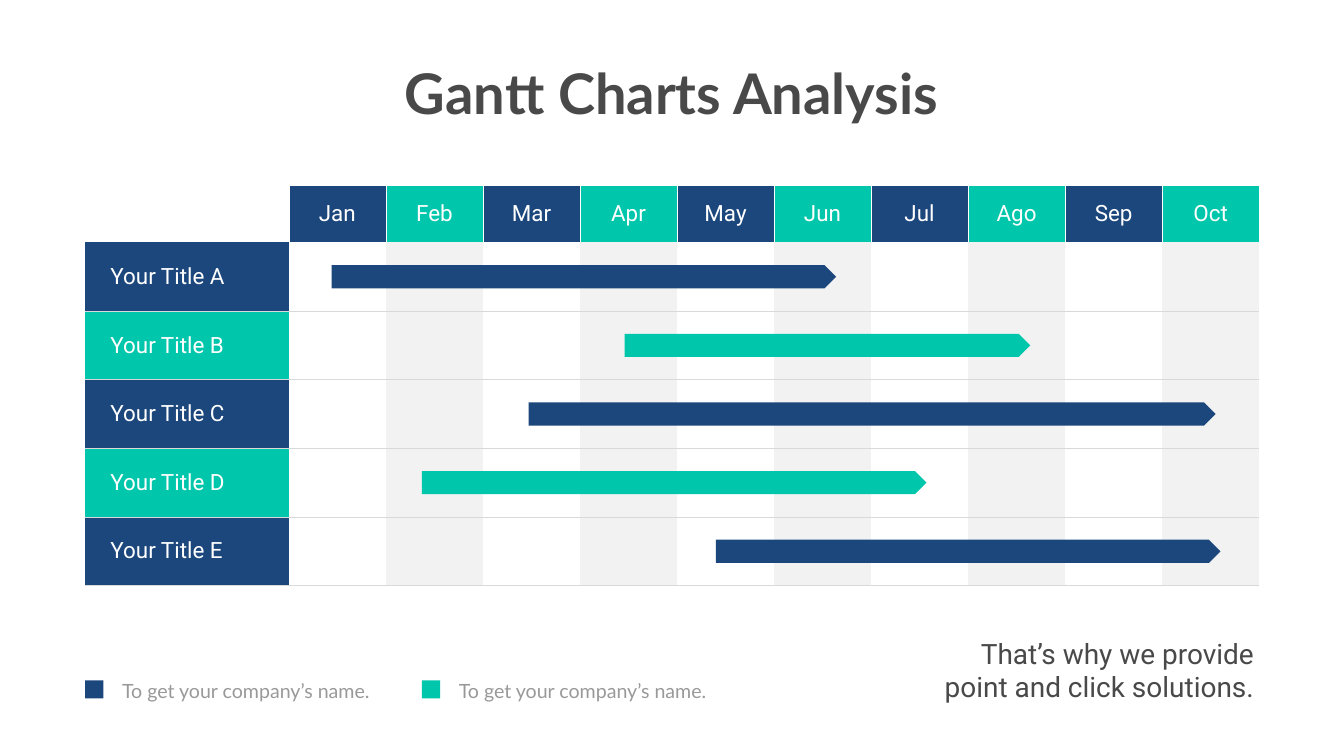
from collections import namedtuple

from lxml.etree import SubElement
from pptx import Presentation
from pptx.dml.color import RGBColor
from pptx.enum.shapes import MSO_SHAPE as Shape
from pptx.enum.text import MSO_ANCHOR as Anchor, MSO_AUTO_SIZE as AutoSize, PP_ALIGN as Align
from pptx.oxml.ns import qn
from pptx.util import Inches, Pt

NAVY = RGBColor(0x1C, 0x47, 0x7C)
TEAL = RGBColor(0x00, 0xC6, 0xAB)
WHITE = RGBColor(0xFF, 0xFF, 0xFF)
BAND = RGBColor(0xF2, 0xF2, 0xF2)
RULE = RGBColor(0xD9, 0xD9, 0xD9)
DARK = RGBColor(0x49, 0x49, 0x49)
GREY = RGBColor(0x99, 0x99, 0x99)
ACCENTS = (NAVY, TEAL)
PLAIN_TABLE_STYLE = "{2D5ABB26-0587-4C30-8999-92F81FD0307C}"

MONTHS = ["Jan", "Feb", "Mar", "Apr", "May", "Jun", "Jul", "Ago", "Sep", "Oct"]
# Title, start and duration in months
TASKS = [
    ("Your Title A", 0.44, 5.2),
    ("Your Title B", 3.46, 4.18),
    ("Your Title C", 2.47, 7.08),
    ("Your Title D", 1.37, 5.2),
    ("Your Title E", 4.4, 5.2),
]
LEGEND = ["To get your company’s name."] * 2

Box = namedtuple("Box", "left top width height")


def inches_box(*lengths):
    return Box(*(Inches(length) for length in lengths))


def write_text(frame, text, size, font, color, align=Align.LEFT, bold=False):
    paragraph = frame.paragraphs[0]
    paragraph.alignment = align
    run = paragraph.add_run()
    run.text = text
    run.font.size = Pt(size)
    run.font.name = font
    run.font.bold = bold
    run.font.color.rgb = color
    return paragraph


def add_block(shapes, kind, box, color):
    shape = shapes.add_shape(kind, *box)
    shape.shadow.inherit = False
    shape.fill.solid()
    shape.fill.fore_color.rgb = color
    shape.line.fill.background()


def add_text_box(shapes, box):
    frame = shapes.add_textbox(*box).text_frame
    frame.word_wrap = True
    return frame


def set_borders(cell, **borders):
    """Draw the given sides (L, R, T, B), each a (color, points) pair."""
    properties = cell._tc.get_or_add_tcPr()
    sides = [side for side in "LRTB" if side in borders]
    for index, side in enumerate(sides):
        color, points = borders[side]
        line = SubElement(properties, qn(f"a:ln{side}"), w=str(Pt(points)))
        fill = SubElement(line, qn("a:solidFill"))
        SubElement(fill, qn("a:srgbClr"), val=str(color))
        properties.insert(index, line)  # borders come before the fill


def fill_cell(cell, color):
    cell.fill.solid()
    cell.fill.fore_color.rgb = color
    cell.vertical_anchor = Anchor.MIDDLE


def add_title(slide, box):
    title = slide.shapes.title
    title.left, title.top, title.width, title.height = box
    frame = title.text_frame
    frame.word_wrap = False
    frame.auto_size = AutoSize.NONE
    frame.vertical_anchor = Anchor.TOP
    write_text(frame, "Gantt Charts Analysis", 80, "Lato", DARK, Align.CENTER, True)


def add_gantt(slide, box):
    label_width, header_height = Inches(4.04), Inches(1.13)
    month_width = (box.width - label_width) // len(MONTHS)
    row_height = (box.height - header_height) // len(TASKS)

    # Grid
    table_frame = slide.shapes.add_table(len(TASKS) + 1, len(MONTHS) + 1, *box)
    table = table_frame.table
    table.first_row = table.horz_banding = False
    table._tbl.tblPr.find(qn("a:tableStyleId")).text = PLAIN_TABLE_STYLE
    for index, column in enumerate(table.columns):
        column.width = month_width if index else label_width
    for index, row in enumerate(table.rows):
        row.height = row_height if index else header_height

    # Month headers
    fill_cell(table.cell(0, 0), WHITE)
    set_borders(table.cell(0, 0), L=(WHITE, 1), T=(WHITE, 1), R=(WHITE, 0.5))
    for index, month in enumerate(MONTHS):
        cell = table.cell(0, index + 1)
        fill_cell(cell, ACCENTS[index % 2])
        set_borders(cell, L=(WHITE, 0.5), T=(WHITE, 1), R=(WHITE, 0.5))
        write_text(cell.text_frame, month, 32, "Roboto", WHITE, Align.CENTER)

    # Task rows
    for row, (name, _, _) in enumerate(TASKS, 1):
        for column in range(len(MONTHS) + 1):
            cell = table.cell(row, column)
            if column:
                fill_cell(cell, (BAND, WHITE)[column % 2])
            else:
                fill_cell(cell, ACCENTS[(row - 1) % 2])
                cell.margin_left = Inches(0.5)
                write_text(cell.text_frame, name, 32, "Roboto", WHITE)
            borders = {"B": (RULE, 1)}
            if row > 1:
                borders["T"] = (RULE, 1)
            set_borders(cell, **borders)

    # Task bars, centred in their rows
    bar_height = Inches(0.46)
    bars = slide.shapes.add_group_shape().shapes
    for index, (_, start, duration) in enumerate(TASKS):
        bar = Box(
            box.left + label_width + int(start * month_width),
            box.top + header_height + index * row_height + (row_height - bar_height) // 2,
            int(duration * month_width),
            bar_height,
        )
        add_block(bars, Shape.PENTAGON, bar, ACCENTS[index % 2])


def add_legend(slide, box):
    marker = Inches(0.36)
    pitch = Inches(6.68)
    shapes = slide.shapes.add_group_shape().shapes
    for index, label in enumerate(LEGEND):
        left = box.left + index * pitch
        frame = add_text_box(shapes, Box(left + Inches(0.49), box.top, Inches(5.79), box.height))
        frame.margin_left = frame.margin_right = Inches(0.24)
        frame.margin_top = frame.margin_bottom = Inches(0.12)
        paragraph = write_text(frame, label, 28, "Lato", GREY)
        paragraph.line_spacing = Pt(40.8)
        marker_box = Box(left, box.top + Inches(0.24), marker, marker)
        add_block(shapes, Shape.RECTANGLE, marker_box, ACCENTS[index])


def add_tagline(slide, box):
    frame = add_text_box(slide.shapes, box)
    text = "That’s why we provide point and click solutions."
    write_text(frame, text, 40, "Roboto", DARK, Align.RIGHT)


def main():
    presentation = Presentation()
    presentation.slide_width = Inches(26.66)
    presentation.slide_height = Inches(15)
    slide = presentation.slides.add_slide(presentation.slide_layouts[5])
    slide.background.fill.solid()
    slide.background.fill.fore_color.rgb = WHITE

    add_gantt(slide, inches_box(1.69, 3.68, 23.29, 7.94))
    add_legend(slide, inches_box(1.69, 13.26, 12.97, 0.75))
    add_tagline(slide, inches_box(17.99, 12.57, 6.98, 1.45))
    add_title(slide, inches_box(7.77, 1.12, 11.11, 1.45))
    presentation.save("out.pptx")


if __name__ == "__main__":
    main()
